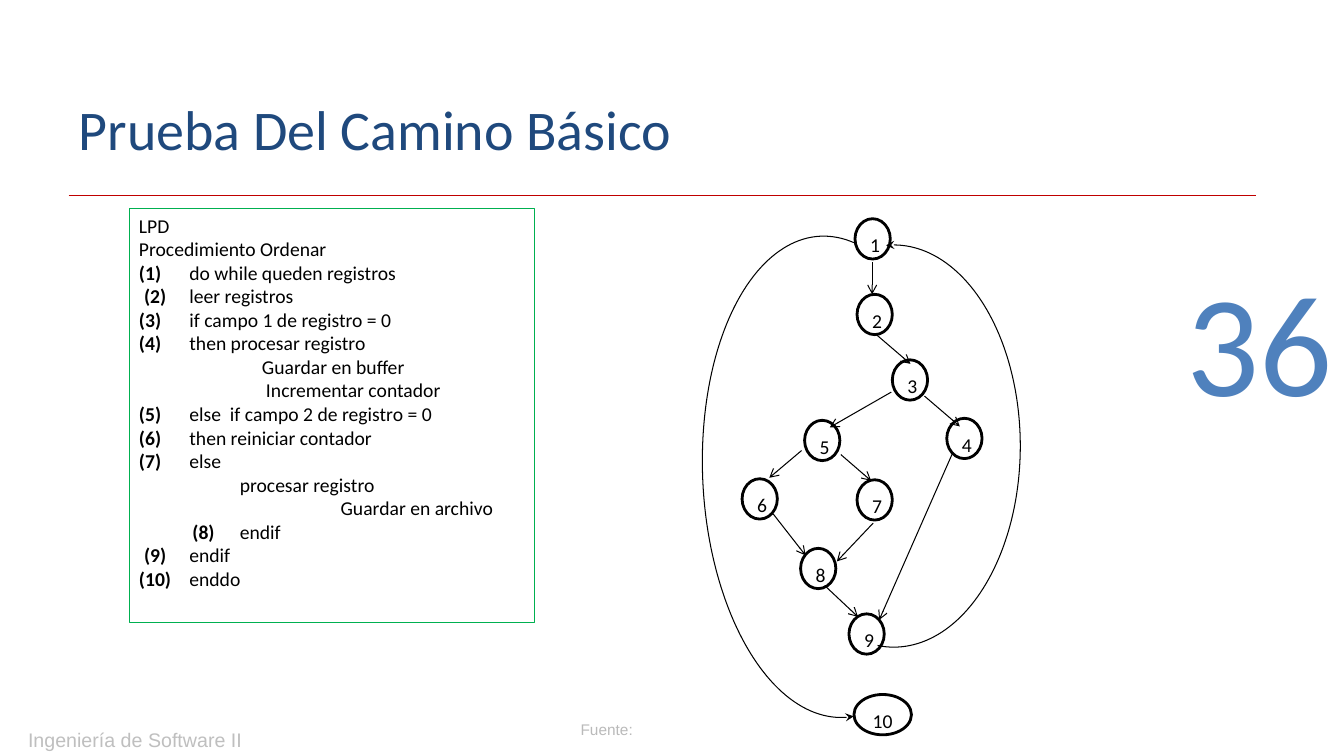
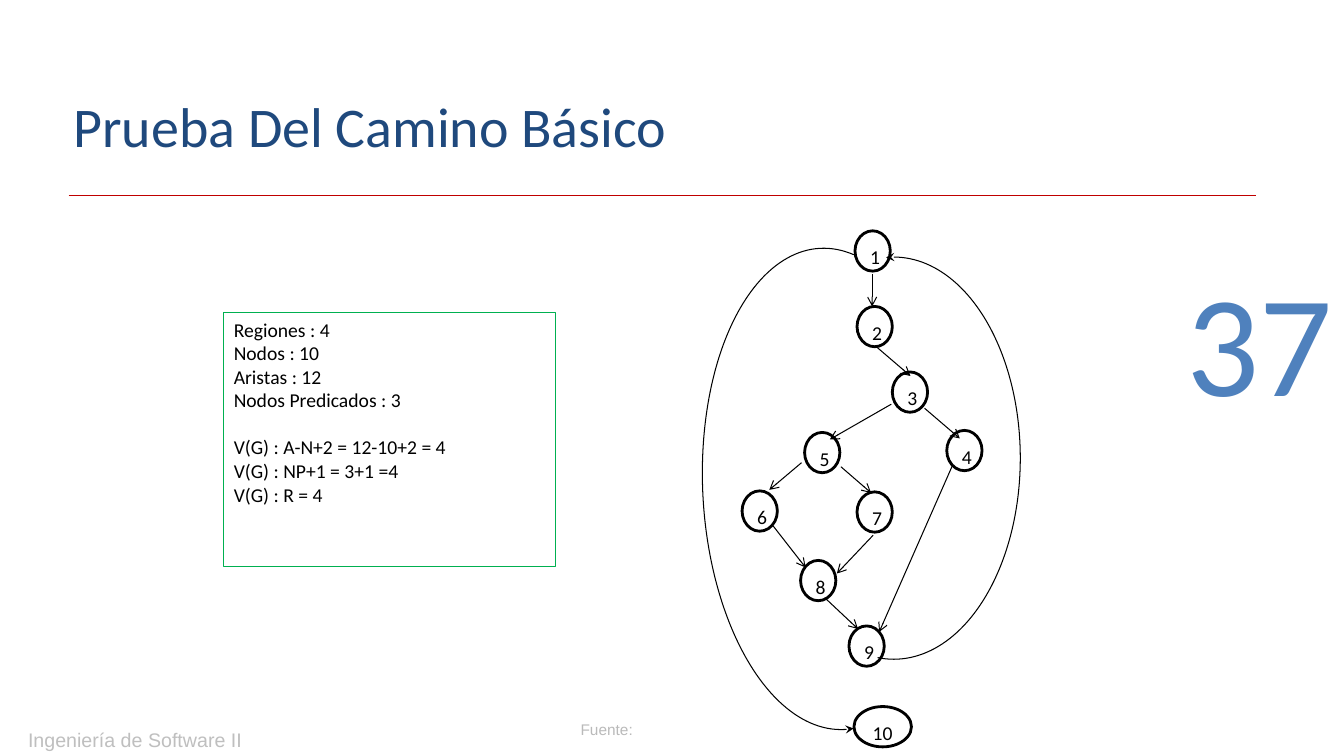
from dataclasses import dataclass

import pptx
import pptx.dml.color
import pptx.enum.shapes
import pptx.enum.text
import pptx.oxml
import pptx.oxml.ns
import pptx.util

SHAPE = pptx.enum.shapes.MSO_SHAPE
ALIGN = pptx.enum.text.PP_ALIGN
ANCHOR = pptx.enum.text.MSO_ANCHOR
PX = 9144  # EMU in one px, 100 px to the inch


@dataclass(frozen=True)
class Theme:
    heading: str = "1F497D"
    number: str = "4F81BD"
    rule: str = "C00000"
    frame: str = "00B050"
    ink: str = "000000"
    footer: str = "BFBFBF"
    source: str = "BABABA"
    sans: str = "Calibri"
    plain: str = "Arial"
    title_size: int = 40
    number_size: int = 103
    text_size: int = 14
    source_size: int = 11
    thin: float = 0.75
    thick: float = 2


THEME = Theme()

TITLE = "Prueba Del Camino Básico"

# start of the line, label, start of the text, text
CODE_LINES = [
    (0, "", 0, "LPD"),
    (0, "", 0, "Procedimiento Ordenar"),
    (0, "(1)", 27, "do while queden registros"),
    (5, "(2)", 40, "leer registros"),
    (0, "(3)", 40, "if campo 1 de registro = 0"),
    (0, "(4)", 49, "then procesar registro"),
    (122, "", 0, "Guardar en buffer"),
    (126, "", 0, "Incrementar contador"),
    (0, "(5)", 53, "else  if campo 2 de registro = 0"),
    (0, "(6)", 115, "then reiniciar contador"),
    (0, "(7)", 32, "else"),
    (100, "", 0, "procesar registro"),
    (200, "", 0, "Guardar en archivo"),
    (53, "(8)", 84, "endif"),
    (5, "(9)", 36, "endif"),
    (0, "(10)", 46, "enddo"),
]

COUNTS = ["Regiones : 4", "Nodos : 10", "Aristas : 12", "Nodos Predicados : 3"]
COMPLEXITY = ["V(G) : A-N+2 = 12-10+2 = 4", "V(G) : NP+1 = 3+1 =4", "V(G) : R = 4"]

# left and top of each node, within the graph
NODES = {
    "1": (151, 0), "2": (153, 75), "3": (188, 140), "4": (242, 198),
    "5": (101, 200), "6": (39, 258), "7": (153, 259), "8": (97, 327),
    "9": (145, 392), "10": (150, 472),
}
NODE_WIDTH, LAST_NODE_WIDTH, NODE_HEIGHT = 35, 57, 40

# both ends of each arrow, within the graph
ARROWS = [
    (168, 43, 168, 75), (171, 114, 206, 144), (220, 176, 255, 206),
    (187, 172, 126, 207), (98, 230, 66, 257), (137, 234, 167, 260),
    (70, 293, 102, 334), (169, 302, 133, 340), (121, 364, 154, 395),
    (248, 232, 175, 398),
]

# box, rotation and end angle of each loop
LOOPS = [((64, 26, 251, 399), 0, 56.79), ((0, 17, 257, 478), 177.1, 58.89)]
LOOP_START = 160.69


def emu(*lengths):
    return [pptx.util.Emu(length * PX) for length in lengths]


def rgb(colour):
    return pptx.dml.color.RGBColor.from_string(colour)


def assign(target, values):
    for name, value in values.items():
        setattr(target, name, value)


def write(para, text, size, colour, font=THEME.sans, bold=False):
    span = para.add_run()
    span.text = text
    assign(span.font, {"size": pptx.util.Pt(size), "name": font, "bold": bold})
    span.font.color.rgb = rgb(colour)


def stroke(line, colour, width):
    line.color.rgb = rgb(colour)
    line.width = pptx.util.Pt(width)


def add_tip(shape, end, kind):
    """Put an arrowhead on headEnd or tailEnd of the shape's line."""
    outline = shape.element.spPr.find(pptx.oxml.ns.qn("a:ln"))
    tip = pptx.oxml.parse_xml(
        f'<a:{end} {pptx.oxml.ns.nsdecls("a")} type="{kind}"/>')
    outline.append(tip)


def add_outline(page, kind, box, colour, width):
    shape = page.shapes.add_shape(kind, *emu(*box))
    shape.shadow.inherit = False
    shape.fill.background()
    stroke(shape.line, colour, width)
    return shape


def add_line(page, ends, colour):
    line = page.shapes.add_connector(
        pptx.enum.shapes.MSO_CONNECTOR.STRAIGHT, *emu(*ends))
    stroke(line.line, colour, THEME.thin)
    line.element.spPr.append(pptx.oxml.parse_xml(
        f'<a:effectLst {pptx.oxml.ns.nsdecls("a")}/>'))
    return line


def add_label(page, box, text, size, colour, font,
              align=ALIGN.LEFT, anchor=ANCHOR.TOP):
    label = page.shapes.add_textbox(*emu(*box))
    assign(label.text_frame, {"word_wrap": True, "vertical_anchor": anchor})
    para = label.text_frame.paragraphs[0]
    para.alignment = align
    write(para, text, size, colour, font)
    return label


def share_on_layout(layout, page):
    """Draw the rule and footers, then hand them to the layout of every page."""
    shared = [
        add_line(page, (68, 194, 1246, 194), THEME.rule),
        add_label(page, (566, 709, 90, 29), "Fuente:",
                  THEME.source_size, THEME.source, THEME.plain),
        add_label(page, (18, 717, 256, 23), "Ingeniería de Software II",
                  THEME.text_size, THEME.footer, THEME.plain),
    ]
    for shape in shared:
        layout.shapes.element.append(shape.element)


def place_title(page, left, top):
    title = page.shapes.title
    assign(title, dict(zip(("left", "top", "width", "height"),
                           emu(left, top, 1178, 124))))
    assign(title.text_frame,
           {"word_wrap": True, "vertical_anchor": ANCHOR.MIDDLE})
    para = title.text_frame.paragraphs[0]
    assign(para, {"alignment": ALIGN.LEFT, "line_spacing": 0.85})
    write(para, TITLE, THEME.title_size, THEME.heading)


def place_number(page, number):
    add_label(page, (1012, 312, 320, 115), str(number), THEME.number_size,
              THEME.number, THEME.sans, ALIGN.RIGHT, ANCHOR.BOTTOM)


def add_panel(page, box, count):
    """Draw a framed box and return its paragraphs, left-aligned."""
    panel = add_outline(page, SHAPE.RECTANGLE, box, THEME.frame, THEME.thin)
    frame = panel.text_frame
    assign(frame, {"word_wrap": True, "vertical_anchor": ANCHOR.TOP})
    paras = [frame.paragraphs[0]]
    paras += [frame.add_paragraph() for _ in range(count - 1)]
    for para in paras:
        para.alignment = ALIGN.LEFT
    return paras


def set_stops(para, start, stop):
    """Indent the line and, where stop is given, set one tab stop."""
    settings = para._p.get_or_add_pPr()
    settings.set("marL", "0")
    settings.set("indent", str(start * PX))
    if stop:
        settings.append(pptx.oxml.parse_xml(
            f'<a:tabLst {pptx.oxml.ns.nsdecls("a")}>'
            f'<a:tab pos="{stop * PX}" algn="l"/></a:tabLst>'))


def draw_code(page, box):
    paras = add_panel(page, box, len(CODE_LINES))
    for para, (start, label, stop, text) in zip(paras, CODE_LINES):
        set_stops(para, start, stop)
        if label:
            write(para, label + "\t", THEME.text_size, THEME.ink, bold=True)
        write(para, text, THEME.text_size, THEME.ink)


def draw_results(page, box):
    lines = COUNTS + COMPLEXITY
    paras = add_panel(page, box, len(lines))
    for para, text in zip(paras, lines):
        write(para, text, THEME.text_size, THEME.ink)
    paras[len(COUNTS)].space_before = pptx.util.Pt(17)


def draw_node(page, left, top, name):
    width = NODE_WIDTH if len(name) == 1 else LAST_NODE_WIDTH
    node = add_outline(page, SHAPE.OVAL, (left, top, width, NODE_HEIGHT),
                       THEME.ink, THEME.thick)
    node.text_frame.vertical_anchor = ANCHOR.MIDDLE
    para = node.text_frame.paragraphs[0]
    assign(para, {"alignment": ALIGN.CENTER, "line_spacing": 1.5,
                  "space_after": pptx.util.Pt(6)})
    write(para, name, THEME.text_size, THEME.ink)


def draw_graph(page, left, top):
    for name, (x, y) in NODES.items():
        draw_node(page, left + x, top + y, name)
    for x1, y1, x2, y2 in ARROWS:
        ends = (left + x1, top + y1, left + x2, top + y2)
        add_tip(add_line(page, ends, THEME.ink), "tailEnd", "arrow")
    for (x, y, width, height), rotation, end in LOOPS:
        loop = add_outline(page, SHAPE.ARC, (left + x, top + y, width, height),
                           THEME.ink, THEME.thin)
        loop.rotation = rotation
        loop.adjustments[0], loop.adjustments[1] = LOOP_START, end
        add_tip(loop, "headEnd", "stealth")


def build_code_page(page):
    place_title(page, 68, 70)
    place_number(page, 36)
    draw_code(page, (128, 207, 402, 411))
    draw_graph(page, 697, 217)


def build_results_page(page):
    place_title(page, 63, 67)
    place_number(page, 37)
    draw_graph(page, 697, 229)
    draw_results(page, (222, 310, 329, 252))


def main():
    deck = pptx.Presentation()
    deck.slide_width, deck.slide_height = emu(1333, 750)
    layout = deck.slide_layouts.get_by_name("Title Only")
    pages = [deck.slides.add_slide(layout) for _ in range(2)]
    share_on_layout(layout, pages[0])
    for build, page in zip((build_code_page, build_results_page), pages):
        build(page)
    deck.save("out.pptx")


if __name__ == "__main__":
    main()
